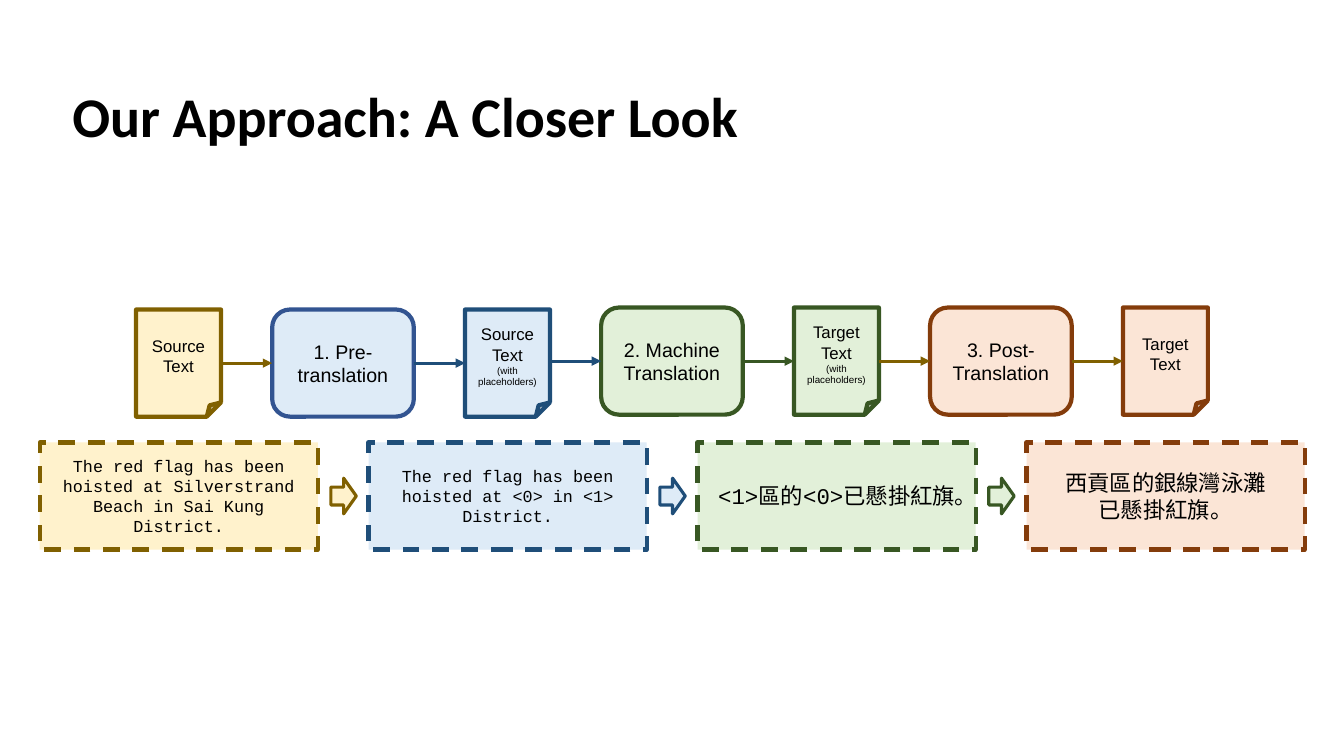
"""Build the slide that walks one sentence through the translation pipeline."""
from dataclasses import dataclass

from lxml import etree
from pptx import Presentation
from pptx.dml.color import RGBColor
from pptx.enum.dml import MSO_LINE
from pptx.enum.shapes import MSO_CONNECTOR, MSO_SHAPE
from pptx.enum.text import MSO_ANCHOR, MSO_AUTO_SIZE, PP_ALIGN
from pptx.oxml.ns import qn
from pptx.util import Cm, Pt

PAGE, PROCESS = MSO_SHAPE.FOLDED_CORNER, MSO_SHAPE.ROUNDED_RECTANGLE
PANEL, ARROW = MSO_SHAPE.RECTANGLE, MSO_SHAPE.RIGHT_ARROW
STRAIGHT, DASH = MSO_CONNECTOR.STRAIGHT, MSO_LINE.DASH
TOP, MIDDLE = MSO_ANCHOR.TOP, MSO_ANCHOR.MIDDLE
LEFT, CENTER = PP_ALIGN.LEFT, PP_ALIGN.CENTER
NO_AUTOFIT = MSO_AUTO_SIZE.NONE
LEFT_SIDE, RIGHT_SIDE = 1, 3


@dataclass(frozen=True)
class Theme:
    """Colours, fonts and type sizes of the slide."""
    text: str = "000000"
    gold: tuple = ("FFF2CC", "806000")
    blue: tuple = ("DEEBF7", "1F4E79")
    green: tuple = ("E2F0D9", "385723")
    orange: tuple = ("FBE5D6", "843C0B")
    bright_blue: tuple = ("DEEBF7", "325491")
    title_font: str = "Calibri"
    label_font: str = "Arial"
    example_font: str = "Courier New"
    title_size: int = 40
    process_size: int = 14
    page_size: int = 12
    note_size: int = 7
    latin_size: int = 12
    chinese_size: int = 16
    border: float = 3
    thin_border: float = 2.25


THEME = Theme()
STAGE_COLOURS = [THEME.gold, THEME.blue, THEME.green, THEME.orange]
PITCH = 8.29
BOX_HEIGHT = 2.7
PAGES = ["Source Text", "Source Text\n(with placeholders)",
         "Target Text\n(with placeholders)", "Target Text"]
PROCESSES = [("1. Pre-translation", THEME.bright_blue),
             ("2. Machine Translation", THEME.green),
             ("3. Post- Translation", THEME.orange)]
LINK_COLOURS = [THEME.gold, THEME.blue, THEME.blue,
                THEME.green, THEME.gold, THEME.gold]
EXAMPLES = [
    ("The red flag has been hoisted at Silverstrand Beach in Sai Kung District.",
     THEME.latin_size),
    ("The red flag has been hoisted at <0> in <1> District.", THEME.latin_size),
    ("<1>區的<0>已懸掛紅旗。", THEME.chinese_size),
    ("西貢區的銀線灣泳灘\n已懸掛紅旗。", THEME.chinese_size),
]


def format_text(frame, font, sizes, align, bold=False):
    """Format each paragraph with its own size from the list, repeating the last."""
    for index, paragraph in enumerate(frame.paragraphs):
        paragraph.alignment = align
        for run in paragraph.runs:
            run.font.name = font
            run.font.size = Pt(sizes[min(index, len(sizes) - 1)])
            run.font.bold = bold
            run.font.color.rgb = RGBColor.from_string(THEME.text)


def add_box(slide, kind, box, colours, border=THEME.border):
    """Add a filled and outlined preset shape in a box given in centimetres."""
    shape = slide.shapes.add_shape(kind, *map(Cm, box))
    fill, line = colours
    shape.shadow.inherit = False
    shape.fill.solid()
    shape.fill.fore_color.rgb = RGBColor.from_string(fill)
    shape.line.color.rgb = RGBColor.from_string(line)
    shape.line.width = Pt(border)
    return shape


def add_labelled_box(slide, kind, box, colours, text, font, sizes):
    """Add a box with centred text."""
    shape = add_box(slide, kind, box, colours)
    shape.text_frame.text = text
    shape.text_frame.vertical_anchor = MIDDLE
    format_text(shape.text_frame, font, sizes, CENTER)
    return shape


def add_link(slide, start, end, colours):
    """Draw a level arrow from the right of one shape to the left of the next."""
    level = end.top + end.height // 2
    link = slide.shapes.add_connector(
        STRAIGHT, start.left + start.width, level, end.left, level)
    if start.top == end.top:
        link.begin_connect(start, RIGHT_SIDE)
    link.end_connect(end, LEFT_SIDE)
    link.line.color.rgb = RGBColor.from_string(colours[1])
    link.line.width = Pt(THEME.thin_border)
    etree.SubElement(link.line._get_or_add_ln(), qn("a:tailEnd"), type="triangle")
    etree.SubElement(link._element.spPr, qn("a:effectLst"))


def add_title(slide, box, text):
    """Place the slide title in its placeholder."""
    title = slide.shapes.title
    title.left, title.top, title.width, title.height = map(Cm, box)
    frame = title.text_frame
    frame.text = text
    frame.vertical_anchor = TOP
    frame.word_wrap = True
    frame.auto_size = NO_AUTOFIT
    frame.paragraphs[0].line_spacing = 0.9
    format_text(frame, THEME.title_font, [THEME.title_size], LEFT, bold=True)


def add_flow(slide, left, top):
    """Draw the alternating pages and processes with the arrows between them."""
    steps = []
    for index, page in enumerate(PAGES):
        stage_left = left + index * PITCH
        page_top = top if index < 2 else top - 0.05
        steps.append(add_labelled_box(
            slide, PAGE, (stage_left, page_top, 2.14, BOX_HEIGHT),
            STAGE_COLOURS[index], page, THEME.label_font,
            [THEME.page_size, THEME.note_size]))
        if index < len(PROCESSES):
            process, colours = PROCESSES[index]
            process_top = top if index < 1 else top - 0.05
            steps.append(add_labelled_box(
                slide, PROCESS,
                (stage_left + 3.43, process_top, 3.57, BOX_HEIGHT),
                colours, process, THEME.label_font, [THEME.process_size]))
    for start, end, colours in zip(steps, steps[1:], LINK_COLOURS):
        add_link(slide, start, end, colours)


def add_examples(slide, left, top):
    """Draw the dashed example panels and the block arrows between them."""
    arrow_width, arrow_height = 0.64, 0.9
    for index, (example, size) in enumerate(EXAMPLES):
        panel_left = left + index * PITCH
        colours = STAGE_COLOURS[index]
        panel = add_labelled_box(
            slide, PANEL, (panel_left, top, 7.01, BOX_HEIGHT),
            colours, example, THEME.example_font, [size])
        panel.line.dash_style = DASH
        if index < len(EXAMPLES) - 1:
            arrow_top = top + (BOX_HEIGHT - arrow_height) / 2
            add_box(slide, ARROW,
                    (panel_left + 7.34, arrow_top, arrow_width, arrow_height),
                    colours, THEME.thin_border)


def main():
    """Build and save the presentation."""
    presentation = Presentation()
    presentation.slide_width = Cm(33.87)
    presentation.slide_height = Cm(19.05)
    slide = presentation.slides.add_slide(presentation.slide_layouts[5])
    add_title(slide, (1.57, 2.13, 20.57, 3.53), "Our Approach: A Closer Look")
    add_flow(slide, 3.43, 7.8)
    add_examples(slide, 1, 11.15)
    presentation.save("out.pptx")


if __name__ == "__main__":
    main()
